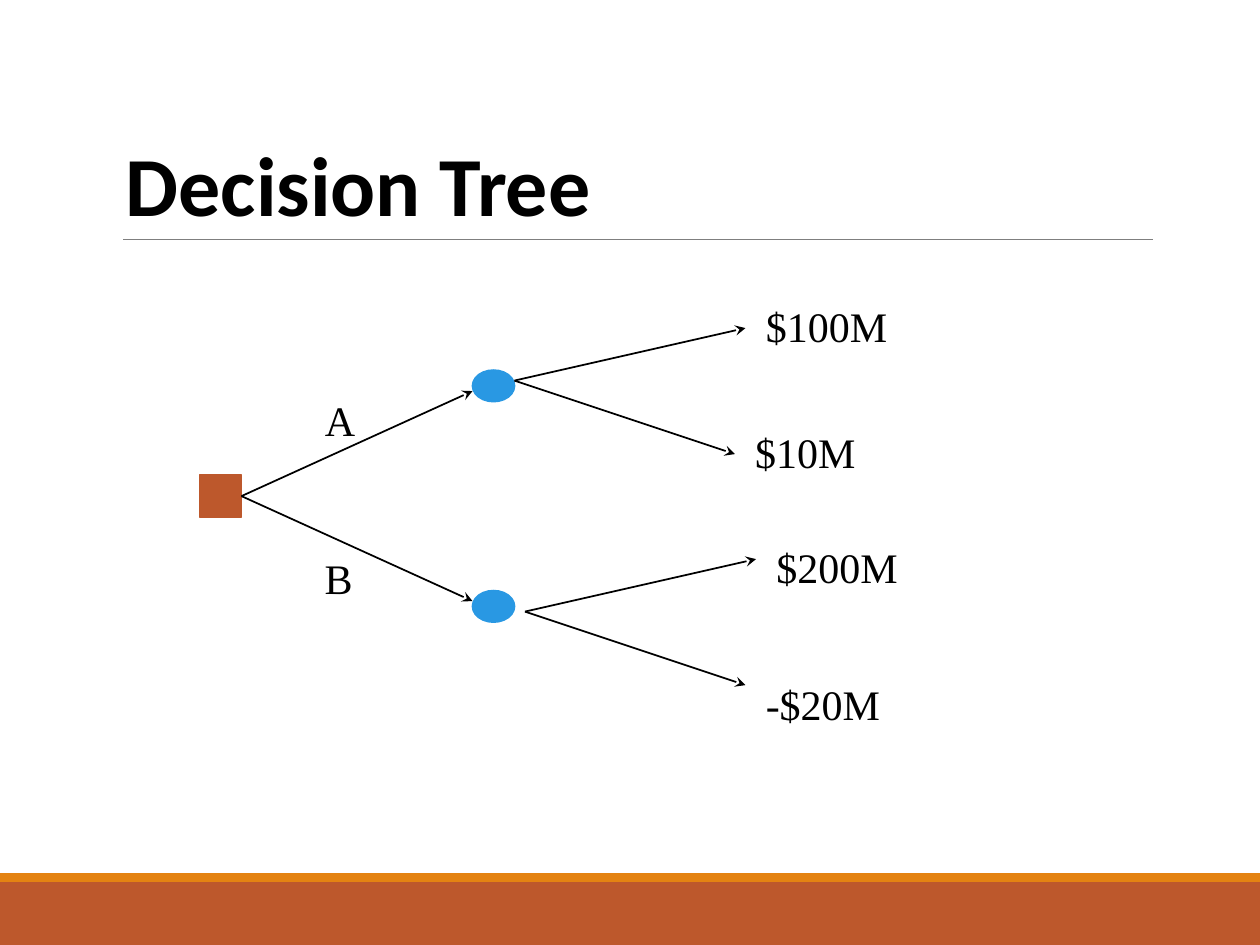
from typing import NamedTuple

from lxml.etree import SubElement
from pptx import Presentation
from pptx.dml.color import RGBColor
from pptx.enum.shapes import MSO_CONNECTOR, MSO_SHAPE
from pptx.enum.text import MSO_ANCHOR, MSO_AUTO_SIZE
from pptx.oxml.ns import qn
from pptx.util import Inches, Pt

BLACK = RGBColor(0x00, 0x00, 0x00)
GRAY = RGBColor(0x7F, 0x7F, 0x7F)
RUST = RGBColor(0xBD, 0x58, 0x2C)
ORANGE = RGBColor(0xE4, 0x83, 0x12)
BLUE = RGBColor(0x29, 0x98, 0xE3)

# The slide is a grid of 120 columns by 90 rows
COLS, ROWS = 120, 90
TITLE_FONT = {"name": "Calibri", "size": Pt(48), "bold": True}
LABEL_FONT = {"name": "Times New Roman", "size": Pt(24)}

prs = Presentation()
prs.slide_width, prs.slide_height = Inches(10), Inches(7.5)
s = prs.slides.add_slide(prs.slide_layouts[6])


class Box(NamedTuple):
    col: float
    row: float
    cols: float
    rows: float


class Label(NamedTuple):
    text: str
    box: Box


class Fork(NamedTuple):
    start: tuple[float, float]
    ends: list[tuple[float, float]]


def x(col: float) -> int:
    return round(prs.slide_width * col / COLS)


def y(row: float) -> int:
    return round(prs.slide_height * row / ROWS)


def place(box: Box) -> tuple[int, int, int, int]:
    return x(box.col), y(box.row), x(box.cols), y(box.rows)


def add_block(kind: MSO_SHAPE, box: Box, color: RGBColor, outlined: bool = False):
    sp = s.shapes.add_shape(kind, *place(box))
    sp.shadow.inherit = False
    sp.fill.solid()
    sp.fill.fore_color.rgb = color
    if outlined:
        sp.line.color.rgb = color
        sp.line.width = Pt(1)
    else:
        sp.line.fill.background()
    return sp


def add_line(start: tuple[float, float], end: tuple[float, float],
             color: RGBColor = BLACK, width: float = 1, arrow: bool = True):
    line = s.shapes.add_connector(MSO_CONNECTOR.STRAIGHT, x(start[0]), y(start[1]),
                                  x(end[0]), y(end[1]))
    line.line.color.rgb = color
    line.line.width = Pt(width)
    if arrow:
        SubElement(line.line._get_or_add_ln(), qn("a:tailEnd"), type="stealth")
    SubElement(line._element.spPr, qn("a:effectLst"))
    return line


def add_text(label: Label, font: dict, wrap: bool = False):
    tf = s.shapes.add_textbox(*place(label.box)).text_frame
    tf.word_wrap = wrap
    p = tf.paragraphs[0]
    r = p.add_run()
    r.text = label.text
    r.font.color.rgb = BLACK
    for name, value in font.items():
        setattr(r.font, name, value)
    return tf


# Footer bands and title rule
add_block(MSO_SHAPE.RECTANGLE, Box(0, 84, COLS, 6), RUST)
add_block(MSO_SHAPE.RECTANGLE, Box(0, 83.16, COLS, 0.84), ORANGE)
add_line((11.76, 22.8), (109.8, 22.8), GRAY, 0.5, arrow=False)

# Title
tf = add_text(Label("Decision Tree", Box(10.8, 3.72, 99, 19.08)), TITLE_FONT, wrap=True)
tf.vertical_anchor = MSO_ANCHOR.BOTTOM
tf.paragraphs[0].line_spacing = 0.85

# Decision node and chance nodes
decision = add_block(MSO_SHAPE.RECTANGLE, Box(19, 45.25, 4, 4), RUST, outlined=True)
for row in (35.25, 56.25):
    add_block(MSO_SHAPE.OVAL, Box(45, row, 4, 3), BLUE, outlined=True)

# Choices leave the decision node
for row in (37.25, 57.25):
    add_line((23, 47.25), (45, row)).begin_connect(decision, 3)

# Outcomes leave the chance nodes
FORKS = [
    Fork((49, 36.25), [(71, 31.25), (70, 43.25)]),
    Fork((50, 58.25), [(72, 53.25), (71, 65.25)]),
]
for fork in FORKS:
    for end in fork.ends:
        add_line(fork.start, end)

# Branch names and payoffs
LABELS = [
    Label("A", Box(29.75, 37, 5.25, 6)),
    Label("B", Box(29.75, 52, 5, 6)),
    Label("$100M", Box(71.75, 28, 14, 6)),
    Label("$10M", Box(70.75, 40, 12, 6)),
    Label("$200M", Box(72.75, 51, 14, 6)),
    Label("-$20M", Box(71.75, 64, 13.25, 6)),
]
for label in LABELS:
    add_text(label, LABEL_FONT).auto_size = MSO_AUTO_SIZE.SHAPE_TO_FIT_TEXT

prs.save("out.pptx")
